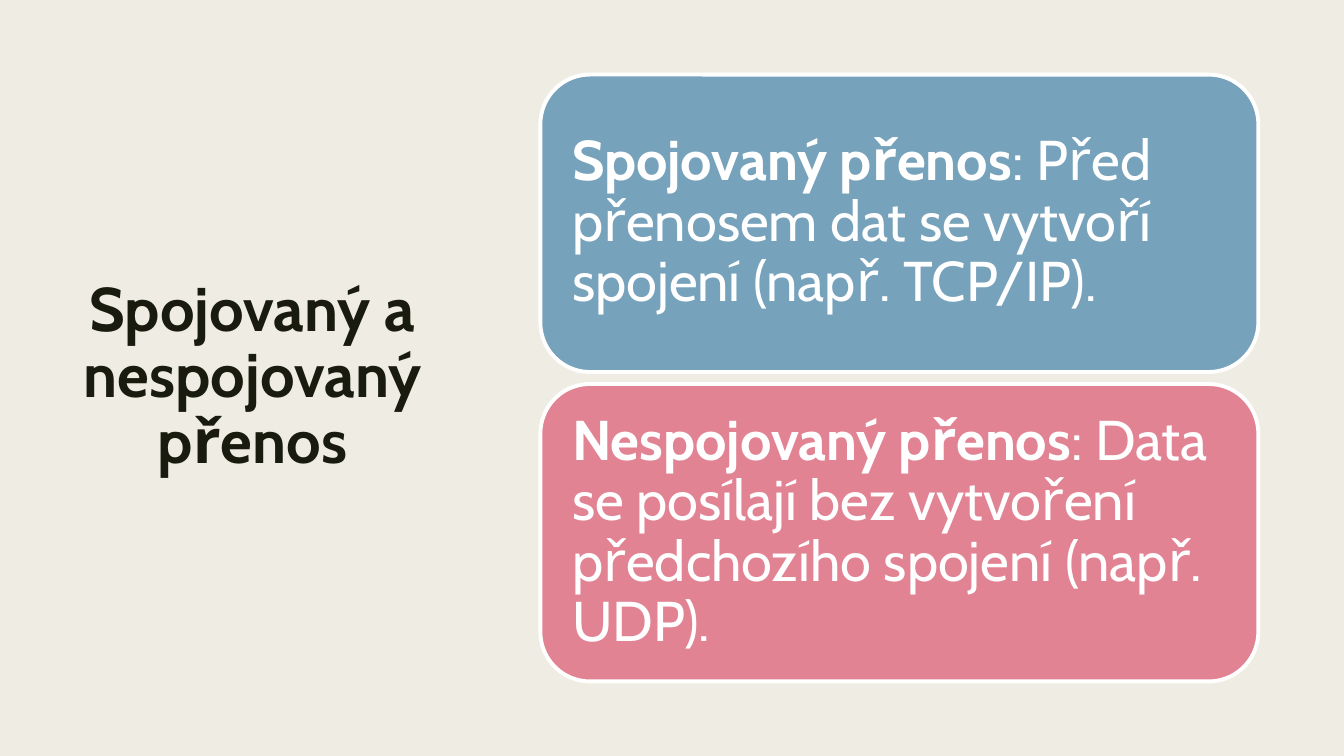
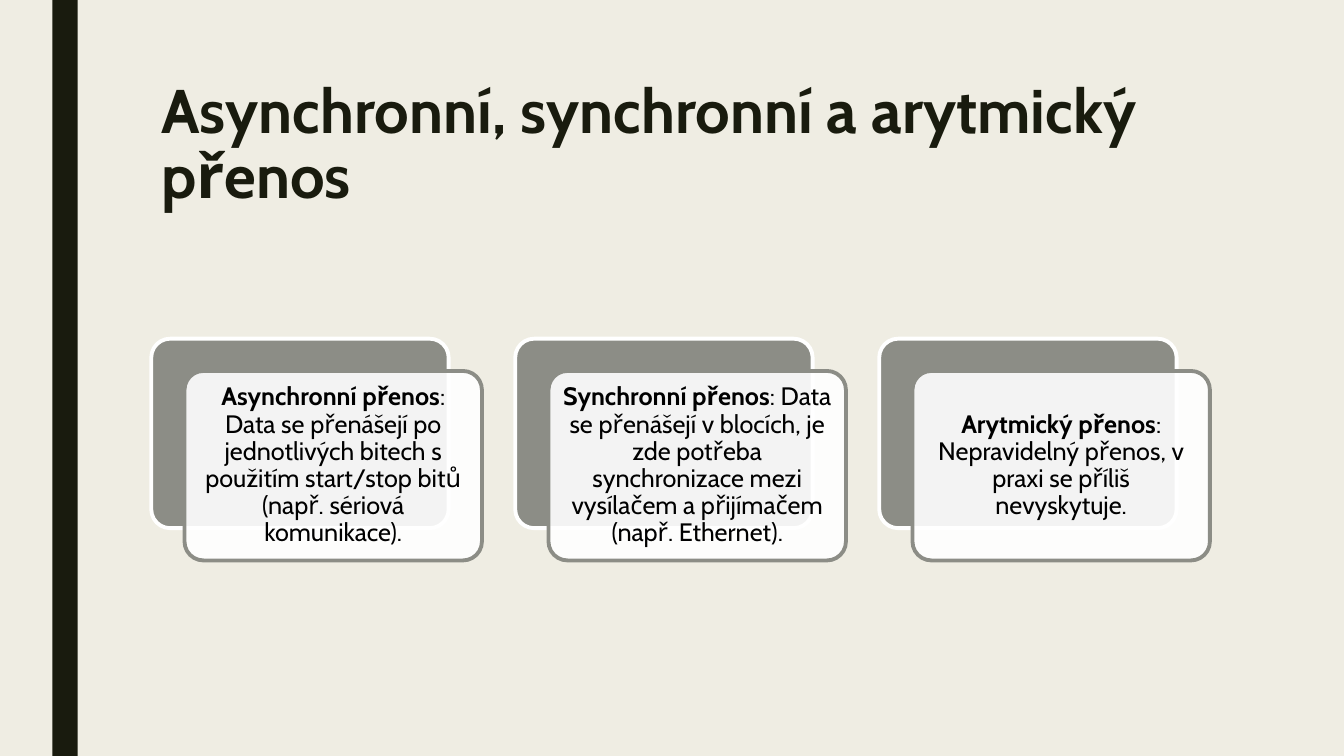
from dataclasses import dataclass

from lxml import etree
from pptx import Presentation
from pptx.dml.color import RGBColor
from pptx.enum.shapes import MSO_SHAPE as Shape
from pptx.enum.text import MSO_ANCHOR as Anchor, PP_ALIGN as Align
from pptx.oxml.ns import qn
from pptx.util import Inches, Pt


@dataclass(frozen=True)
class Theme:
    font: str = "Cabin"
    paper: str = "EFEDE3"
    ink: str = "191B0E"
    white: str = "FFFFFF"
    black: str = "000000"
    gray: str = "8C8D86"
    blue: str = "77A2BB"
    pink: str = "E28394"
    title_size: int = 44
    panel_size: int = 40
    card_size: int = 18
    outline: float = 2.75
    title_spacing: float = 0.89
    body_spacing: float = 0.9


THEME = Theme()

TRANSFER_PANELS = [
    ("Spojovaný přenos", ": Před přenosem dat se vytvoří spojení (např. TCP/IP).", THEME.blue),
    ("Nespojovaný přenos", ": Data se posílají bez vytvoření předchozího spojení (např. UDP).",
     THEME.pink),
]
TIMING_CARDS = [
    ("Asynchronní přenos", ": Data se přenášejí po jednotlivých bitech s použitím "
     "start/stop bitů (např. sériová komunikace)."),
    ("Synchronní přenos", ": Data se přenášejí v blocích, je zde potřeba synchronizace "
     "mezi vysílačem a přijímačem (např. Ethernet)."),
    ("Arytmický přenos", ": Nepravidelný přenos, v praxi se příliš nevyskytuje."),
]


def set_all(target, values):
    for name, value in values.items():
        setattr(target, name, value)


def add_page(deck):
    page = deck.slides.add_slide(deck.slide_layouts[6])
    page.background.fill.solid()
    page.background.fill.fore_color.rgb = RGBColor.from_string(THEME.paper)
    return page


def write(shape, spans, size, color, align, anchor, spacing, margin=None):
    """Fill a shape with one paragraph of (text, bold) spans."""
    frame = shape.text_frame
    set_all(frame, {"word_wrap": True, "vertical_anchor": anchor})
    if margin is not None:
        sides = ("left", "top", "right", "bottom")
        set_all(frame, {f"margin_{side}": Inches(margin) for side in sides})
    para = frame.paragraphs[0]
    set_all(para, {"alignment": align, "line_spacing": spacing})
    for text, bold in spans:
        span = para.add_run()
        span.text = text
        set_all(span.font, {"name": THEME.font, "size": Pt(size), "bold": bold})
        span.font.color.rgb = RGBColor.from_string(color)


def add_block(page, kind, box, fill, line=None, corner=None, opacity=None):
    block = page.shapes.add_shape(kind, *map(Inches, box))
    block.shadow.inherit = False
    block.fill.solid()
    block.fill.fore_color.rgb = RGBColor.from_string(fill)
    if opacity is not None:
        color = block.fill._xPr.find(f"{qn('a:solidFill')}/{qn('a:srgbClr')}")
        etree.SubElement(color, qn("a:alpha"), val=str(opacity * 1000))
    if line:
        block.line.color.rgb = RGBColor.from_string(line)
        block.line.width = Pt(THEME.outline)
    else:
        block.line.fill.background()
    if corner is not None:
        block.adjustments[0] = corner
    return block


def add_title(page, box, text, align=Align.LEFT, anchor=Anchor.TOP):
    title = page.shapes.add_textbox(*map(Inches, box))
    write(title, [(text, True)], THEME.title_size, THEME.ink, align, anchor,
          THEME.title_spacing)


def add_side_band(page):
    add_block(page, Shape.RECTANGLE, (0.52, 0, 0.25, 7.5), THEME.ink)


def add_panel_stack(page, box, panels, gap=0.12):
    left, top, width, height = box
    panel_height = (height - gap * (len(panels) - 1)) / len(panels)
    for row, (term, meaning, fill) in enumerate(panels):
        place = (left, top + row * (panel_height + gap), width, panel_height)
        panel = add_block(page, Shape.ROUNDED_RECTANGLE, place, fill, THEME.white)
        write(panel, [(term, True), (meaning, False)], THEME.panel_size, THEME.white,
              Align.LEFT, Anchor.MIDDLE, THEME.body_spacing, margin=0.17)


def add_card_row(page, box, cards, gap=0.33, shift=(0.33, 0.32)):
    """Spread cards evenly; each lies shifted over a gray plate of equal size."""
    left, top, width, height = box
    step = (width + gap) / len(cards)
    card_width, card_height = step - gap - shift[0], height - shift[1]
    for column, (term, meaning) in enumerate(cards):
        x = left + column * step
        add_block(page, Shape.ROUNDED_RECTANGLE, (x, top, card_width, card_height),
                  THEME.gray, THEME.white, corner=0.1)
        place = (x + shift[0], top + shift[1], card_width, card_height)
        card = add_block(page, Shape.ROUNDED_RECTANGLE, place, THEME.white, THEME.gray,
                         corner=0.1, opacity=90)
        write(card, [(term, True), (meaning, False)], THEME.card_size, THEME.black,
              Align.CENTER, Anchor.MIDDLE, THEME.body_spacing, margin=0.07)


def build_connection_slide(deck):
    page = add_page(deck)
    add_title(page, (0.7, 0.7, 3.61, 6.1), "Spojovaný a nespojovaný přenos",
              Align.CENTER, Anchor.MIDDLE)
    add_panel_stack(page, (5.36, 0.74, 7.12, 6.02), TRANSFER_PANELS)


def build_timing_slide(deck):
    page = add_page(deck)
    add_side_band(page)
    add_title(page, (1.5, 0.75, 10.5, 1.62), "Asynchronní, synchronní a arytmický přenos")
    add_card_row(page, (1.5, 3.36, 10.5, 2.2), TIMING_CARDS)


def main():
    deck = Presentation()
    set_all(deck, {"slide_width": Inches(13.33), "slide_height": Inches(7.5)})
    build_connection_slide(deck)
    build_timing_slide(deck)
    deck.save("out.pptx")


if __name__ == "__main__":
    main()
